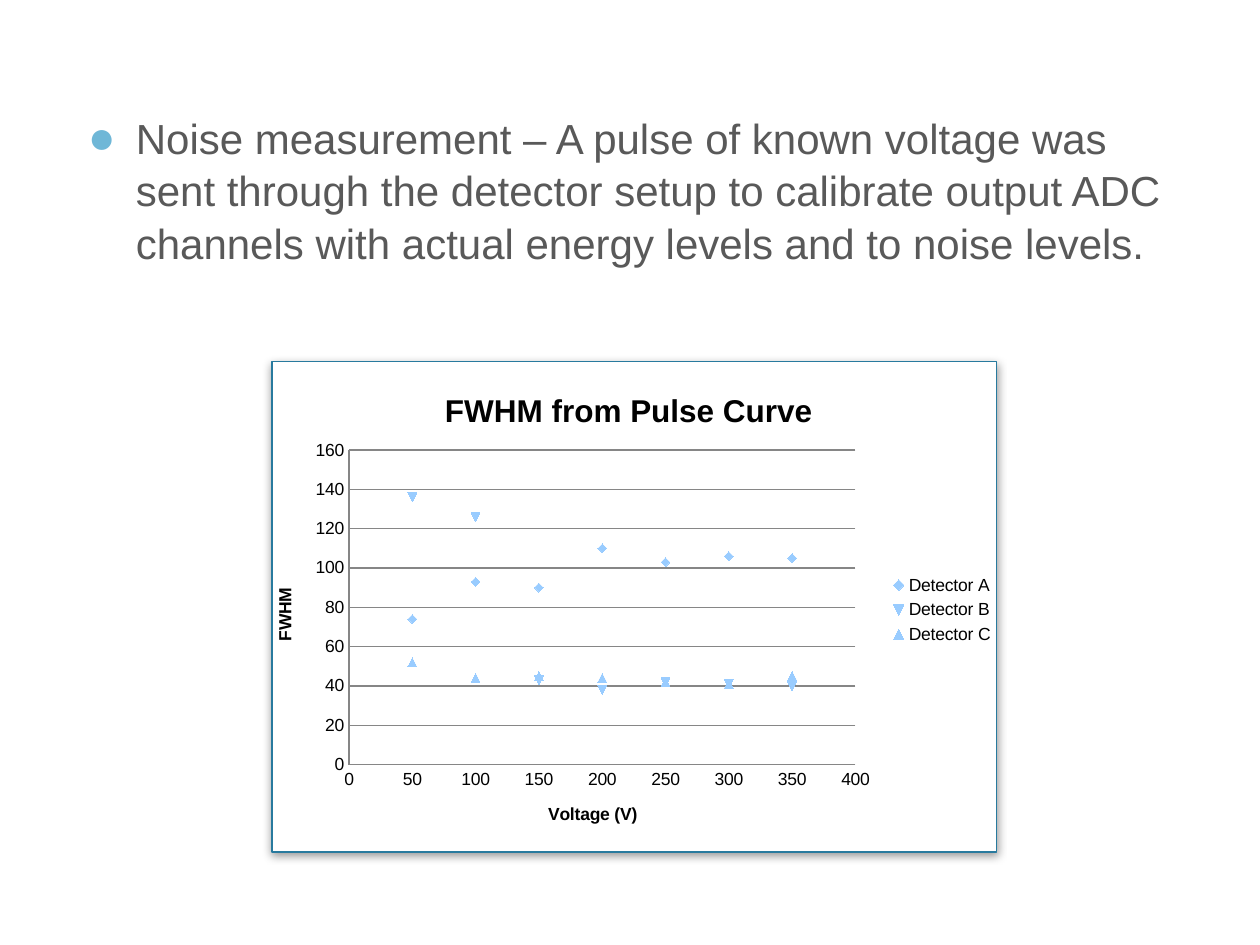
from lxml import etree
from pptx import Presentation
from pptx import util as u
from pptx.chart.data import XyChartData
from pptx.dml.color import RGBColor
from pptx.enum import chart as charts, shapes
from pptx.oxml import parse_xml
from pptx.oxml.ns import nsdecls, qn

WHITE = RGBColor(0xFF, 0xFF, 0xFF)
BLACK = RGBColor(0, 0, 0)
GREY = RGBColor(0x59, 0x59, 0x59)
GRID_GREY = RGBColor(0x86, 0x86, 0x86)
FRAME_BLUE = RGBColor(0x28, 0x7A, 0x9E)
BULLET_BLUE = RGBColor(0x6F, 0xB7, 0xD7)

STATEMENT = (
    "Noise measurement – A pulse of known voltage was sent through the detector "
    "setup to calibrate output ADC channels with actual energy levels and to noise levels."
)
VOLTAGES = range(50, 351, 50)
FWHM = {
    "Detector A": (74, 93, 90, 110, 103, 106, 105),
    "Detector B": (136, 126, 43, 38, 42, 41, 40),
    "Detector C": (52, 44, 45, 44, 42, 41, 45),
}


class Deck:
    font = "Arial"
    columns, rows = 10, 7.5

    def __init__(self):
        self.presentation = Presentation()
        self.presentation.slide_width = u.Inches(self.columns)
        self.presentation.slide_height = u.Inches(self.rows)
        self.slide = self.presentation.slides.add_slide(self.presentation.slide_layouts[6])

    def place(self, left, top, width, height):
        across = self.presentation.slide_width / self.columns
        down = self.presentation.slide_height / self.rows
        return round(left * across), round(top * down), round(width * across), round(height * down)

    def style(self, font, size, color, bold=False):
        font.name, font.size, font.bold = self.font, u.Pt(size), bold
        font.color.rgb = color

    def frame(self, *area):
        panel = self.slide.shapes.add_shape(shapes.MSO_SHAPE.RECTANGLE, *self.place(*area))
        panel.fill.solid()
        panel.fill.fore_color.rgb = WHITE
        panel.line.color.rgb = FRAME_BLUE
        panel.line.width = u.Pt(1)
        panel.shadow.inherit = False
        effects = panel._element.spPr.find(qn("a:effectLst"))
        effects.append(parse_xml(
            f'<a:outerShdw {nsdecls("a")} blurRad="{u.Pt(5)}" dist="{u.Pt(2)}" dir="5400000" '
            'rotWithShape="0"><a:srgbClr val="000000"><a:alpha val="40000"/></a:srgbClr></a:outerShdw>'
        ))

    def bullet(self, wording, *area):
        body = self.slide.shapes.add_textbox(*self.place(*area)).text_frame
        body.word_wrap = True
        statement = body.paragraphs[0]
        statement.text = wording
        statement.space_before = u.Pt(20)
        statement.line_spacing = 1.05
        self.style(statement.font, 24, GREY)
        properties = statement._p.get_or_add_pPr()
        indent = u.Inches(0.38)
        properties.set("marL", str(indent))
        properties.set("indent", str(-indent))
        marks = [
            f'<a:buClr {nsdecls("a")}><a:srgbClr val="{BULLET_BLUE}"/></a:buClr>',
            f'<a:buSzPct {nsdecls("a")} val="110000"/>',
            f'<a:buFont {nsdecls("a")} typeface="{self.font}"/>',
            f'<a:buChar {nsdecls("a")} char="●"/>',
        ]
        default_run = properties.find(qn("a:defRPr"))
        for mark in marks:
            default_run.addprevious(parse_xml(mark))

    def heading(self, owner, wording, size):
        title = owner.text_frame.paragraphs[0]
        title.text = wording
        self.style(title.font, size, BLACK, True)

    def axis(self, axis, wording, top, step):
        axis.minimum_scale, axis.maximum_scale, axis.major_unit = 0, top, step
        axis.major_tick_mark = axis.minor_tick_mark = charts.XL_TICK_MARK.NONE
        axis.format.line.color.rgb = GRID_GREY
        self.style(axis.tick_labels.font, 10, BLACK)
        self.heading(axis.axis_title, wording, 10)

    def scatter(self, title, readings, *area):
        data = XyChartData(number_format="General")
        for detector, widths in readings.items():
            points = data.add_series(detector)
            for voltage, width in zip(VOLTAGES, widths):
                points.add_data_point(voltage, width)
        chart = self.slide.shapes.add_chart(
            charts.XL_CHART_TYPE.XY_SCATTER, *self.place(*area), data
        ).chart
        self.style(chart.font, 10, BLACK)
        self.heading(chart.chart_title, title, 18)
        self.axis(chart.category_axis, "Voltage (V)", 400, 50)
        self.axis(chart.value_axis, "FWHM", 160, 20)
        chart.category_axis.has_major_gridlines = False
        chart.value_axis.has_major_gridlines = True
        chart.value_axis.major_gridlines.format.line.color.rgb = GRID_GREY
        chart.has_legend = True
        chart.legend.position = charts.XL_LEGEND_POSITION.RIGHT
        chart.legend.include_in_layout = False
        self.style(chart.legend.font, 10, BLACK)
        for points in chart.plots[0].series:
            points.smooth = False
            points.format.line.fill.background()
        self.plot_layout(chart, x=0.13, y=0.17, w=0.67, h=0.65)

    def plot_layout(self, chart, **shares):
        plot = chart._chartSpace.chart.plotArea
        for old in plot.findall(qn("c:layout")):
            plot.remove(old)
        layout = etree.Element(qn("c:layout"))
        manual = etree.SubElement(layout, qn("c:manualLayout"))
        settings = {"layoutTarget": "inner", "xMode": "edge", "yMode": "edge", **shares}
        for name, value in settings.items():
            etree.SubElement(manual, qn(f"c:{name}")).set("val", str(value))
        plot.insert(0, layout)


def main():
    deck = Deck()
    deck.frame(2.16, 2.87, 5.75, 3.89)
    deck.bullet(STATEMENT, 0.6, 0.82, 8.8, 4.75)
    deck.scatter("FWHM from Pulse Curve", FWHM, 1.99, 2.92, 6, 3.84)
    deck.presentation.save("out.pptx")


if __name__ == "__main__":
    main()
